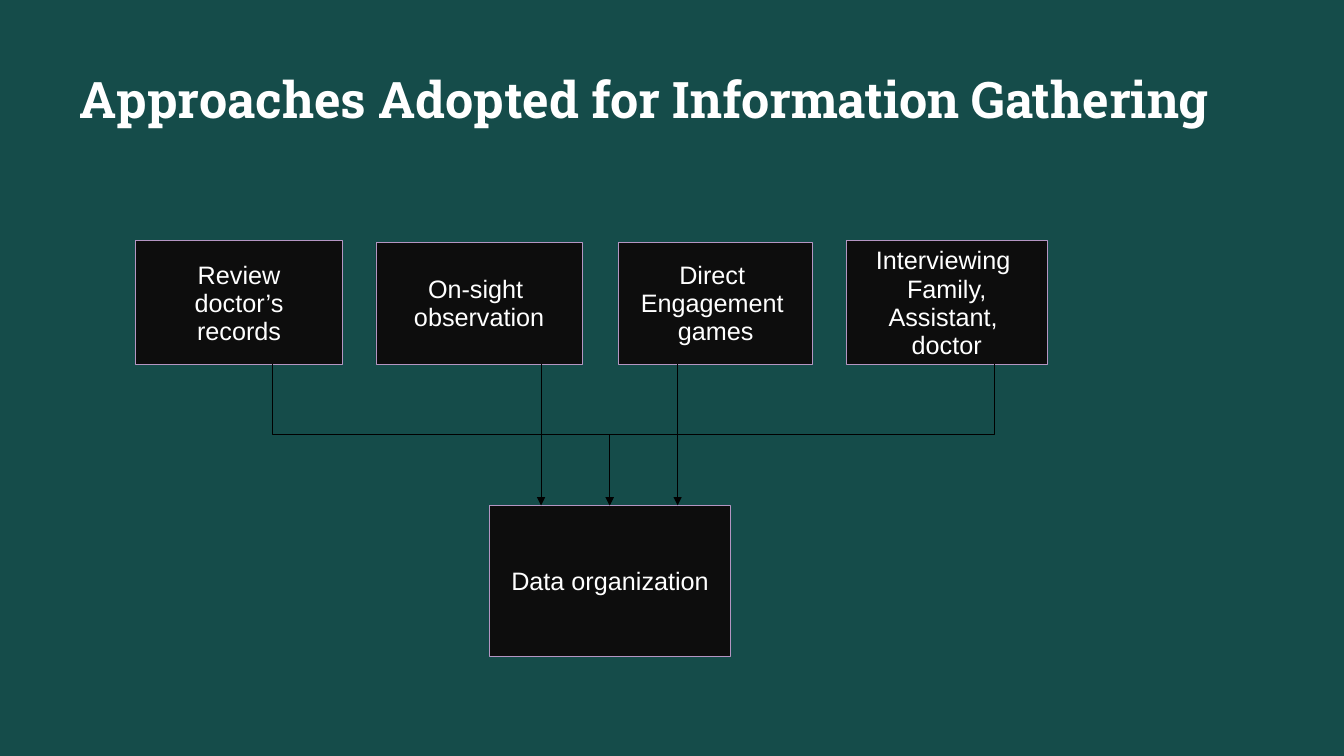
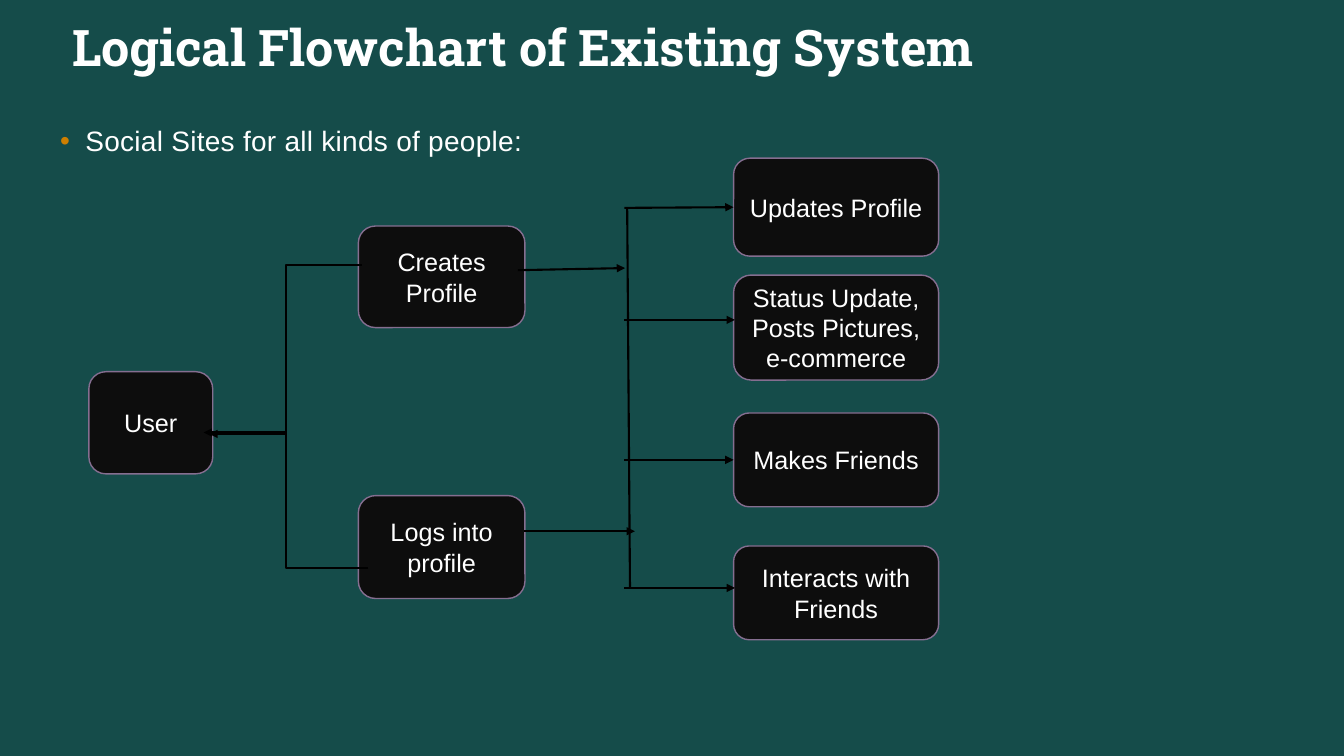
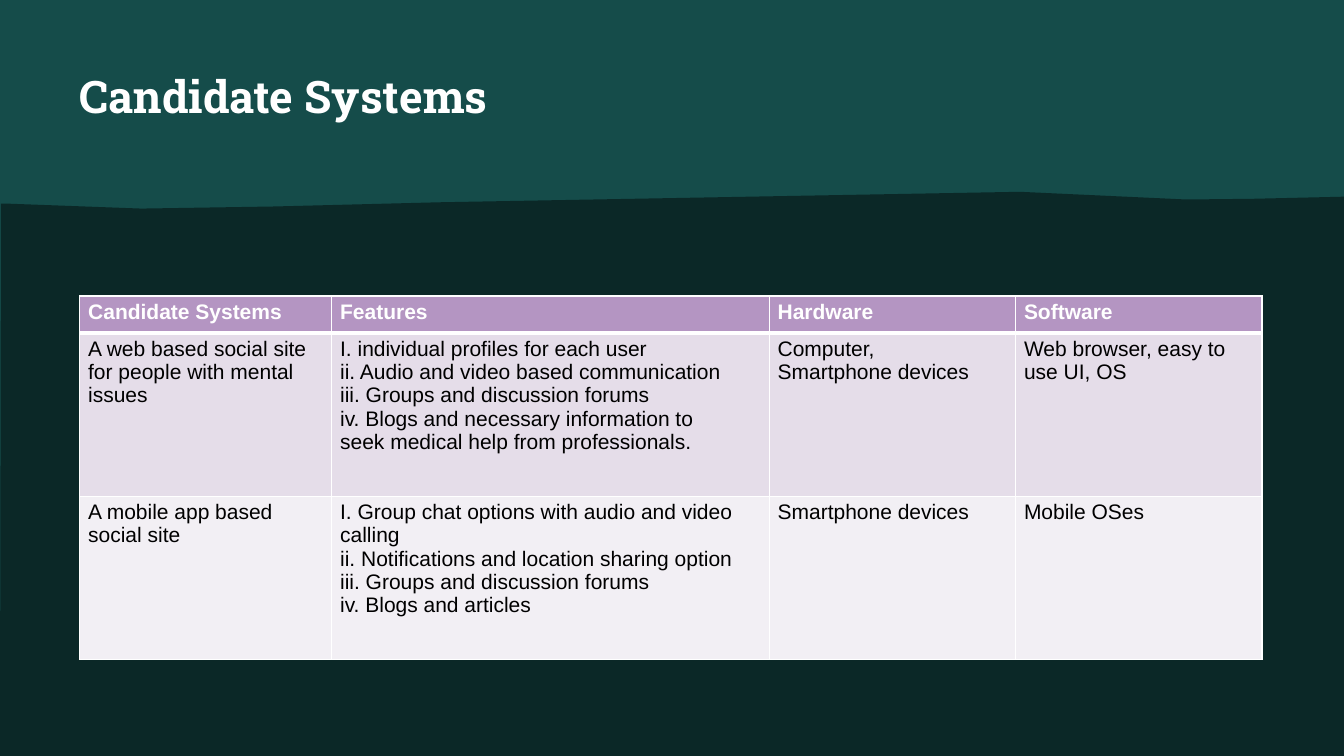
from pptx import Presentation
from pptx.dml.color import RGBColor
from pptx.enum.shapes import MSO_CONNECTOR as LINE, MSO_SHAPE as SHAPE
from pptx.enum.text import MSO_ANCHOR as ANCHOR, PP_ALIGN as ALIGN
from pptx.oxml import parse_xml
from pptx.oxml.ns import nsdecls, qn
from pptx.util import Pt

# Shared look
WIDTH, HEIGHT = 960, 540
DARK, TEAL, INK = "0B2827", "154C4A", "0D0D0D"
WHITE, BLACK, ORANGE = "FFFFFF", "000000", "CE7F01"
LILAC, MAUVE = "B495C2", "856E90"
BANDS = ["E5DDE9", "F2EFF4"]
BODY = {"name": "Arial", "size": Pt(18), "bold": False}
TITLE = {"name": "Roboto Slab", "size": Pt(36), "bold": True}
NO_MARGINS = dict.fromkeys(
    ["margin_left", "margin_top", "margin_right", "margin_bottom"], 0)
NBSP = chr(160)  # keeps two words on one line


# Formatting helpers
def assign(obj, values):
    for name, value in values.items():
        setattr(obj, name, value)


def paint(fill, color):
    fill.solid()
    fill.fore_color.rgb = RGBColor.from_string(color)


def write(tf, lines, color, font, para=None):
    """Fill a text frame, one paragraph a line."""
    for i, line in enumerate(lines):
        p = tf.paragraphs[0] if i == 0 else tf.add_paragraph()
        assign(p, para or {})
        r = p.add_run()
        r.text = line
        assign(r.font, font)
        r.font.color.rgb = RGBColor.from_string(color)


# Elements
def add_panel(s, kind, box, fill):
    sp = s.shapes.add_shape(kind, *map(Pt, box))
    sp.shadow.inherit = False
    paint(sp.fill, fill)
    sp.line.fill.background()
    return sp


def new_slide(prs):
    s = prs.slides.add_slide(prs.slide_layouts[6])
    paint(s.background.fill, DARK)
    add_panel(s, SHAPE.RECTANGLE, (0, 0, WIDTH, HEIGHT), TEAL)
    return s


def add_text(s, box, text, font, para=None, **frame):
    tf = s.shapes.add_textbox(*map(Pt, box)).text_frame
    assign(tf, {"word_wrap": True, **NO_MARGINS, **frame})
    write(tf, [text], WHITE, font, para)
    return tf.paragraphs[0]


def add_box(s, kind, box, lines, outline, weight, para=None, **frame):
    sp = add_panel(s, kind, box, INK)
    paint(sp.line.fill, outline)
    sp.line.width = Pt(weight)
    assign(sp.text_frame,
           {"word_wrap": True, "vertical_anchor": ANCHOR.MIDDLE, **frame})
    write(sp.text_frame, lines, WHITE, BODY,
          {"alignment": ALIGN.CENTER, **(para or {})})
    return sp


def add_line(s, start, end, weight, kind=LINE.STRAIGHT, arrow=True):
    c = s.shapes.add_connector(kind, *map(Pt, start + end))
    paint(c.line.fill, BLACK)
    c.line.width = Pt(weight)
    if arrow:
        c.line._get_or_add_ln().append(parse_xml(
            f'<a:tailEnd {nsdecls("a")} type="triangle"/>'))
    c._element.spPr.append(parse_xml(f'<a:effectLst {nsdecls("a")}/>'))
    return c


def add_drop_elbow(s, start, end, weight):
    """Elbow that leaves downwards: a sideways one turned by a quarter."""
    (x1, y1), (x2, y2) = start, end
    cx, cy = (x1 + x2) / 2, (y1 + y2) / 2
    side = 1 if x2 < x1 else -1
    dx, dy = side * (y2 - y1) / 2, abs(x2 - x1) / 2
    c = add_line(s, (cx - dx, cy - dy), (cx + dx, cy + dy), weight, LINE.ELBOW)
    turn = 90 if side > 0 else 270
    c._element.spPr.find(qn("a:xfrm")).set("rot", str(turn * 60000))


def add_bullet(p, indent):
    pPr = p._p.get_or_add_pPr()
    pPr.set("marL", str(Pt(indent)))
    pPr.set("indent", str(-Pt(indent)))
    for xml in (f'<a:buClr {nsdecls("a")}><a:srgbClr val="{ORANGE}"/></a:buClr>',
                f'<a:buFont {nsdecls("a")} typeface="Arial"/>',
                f'<a:buChar {nsdecls("a")} char="•"/>'):
        pPr.append(parse_xml(xml))


def add_borders(cell, row):
    thick = {0: "B", 1: "T"}.get(row)
    for i, side in enumerate("LRTB"):
        weight = Pt(3 if side == thick else 1)
        cell._tc.get_or_add_tcPr().insert(i, parse_xml(
            f'<a:ln{side} {nsdecls("a")} w="{weight}"><a:solidFill>'
            f'<a:srgbClr val="{WHITE}"/></a:solidFill></a:ln{side}>'))


def add_grid(s, left, top, widths, heights, rows):
    tbl = s.shapes.add_table(len(rows), len(widths), Pt(left), Pt(top),
                             Pt(sum(widths)), Pt(sum(heights))).table
    tbl.horz_banding = False
    for col, width in zip(tbl.columns, widths):
        col.width = Pt(width)
    for i, (row, height) in enumerate(zip(rows, heights)):
        tbl.rows[i].height = Pt(height)
        head = i == 0
        for j, text in enumerate(row):
            cell = tbl.cell(i, j)
            assign(cell, {"margin_left": Pt(6), "margin_right": Pt(6),
                          "margin_top": Pt(3), "margin_bottom": Pt(3)})
            paint(cell.fill, LILAC if head else BANDS[(i - 1) % 2])
            add_borders(cell, i)
            write(cell.text_frame, text.split("\n"), WHITE if head else BLACK,
                  {**BODY, "size": Pt(15), "bold": head})


# Slides
def gathering_slide(prs):
    s = new_slide(prs)
    add_text(s, (57, 49, 844.5, 55.5),
             "Approaches Adopted for Information Gathering", TITLE)
    boxes = [
        ((97, 172, 147.5, 88.5), ["Review", "doctor’s", "records"]),
        ((268.5, 173, 147.5, 87), ["On-sight ", "observation"]),
        ((442, 173, 138.5, 87), ["Direct ", "Engagement ", "games"]),
        ((604.5, 172, 143.5, 88.5),
         ["Interviewing ", "Family,", "Assistant, ", "doctor"]),
        ((349.5, 361, 172.5, 108), ["Data organization"]),
    ]
    for box, lines in boxes:
        add_box(s, SHAPE.RECTANGLE, box, lines, LILAC, 0.5,
                {"line_spacing": 0.93}, word_wrap=False, margin_top=Pt(5))

    # Arrows down to the data box
    top, bottom = 260, 361
    for x in (710.5, 194.5):
        add_drop_elbow(s, (x, top), (435.5, bottom), 0.75)
    for x in (386.5, 484):
        add_line(s, (x, top), (x, bottom), 0.75)


def flowchart_slide(prs):
    s = new_slide(prs)
    add_text(s, (43, 11.5, 844.5, 63.5), "Logical Flowchart of Existing System",
             TITLE, margin_left=Pt(8.5))
    p = add_text(s, (43, 83.5, 858.5, 432.5),
                 "Social Sites for all kinds of people:",
                 {**BODY, "size": Pt(20)},
                 {"line_spacing": 1.2, "space_before": Pt(10)})
    add_bullet(p, 18)
    p.runs[0].font._element.set("spc", "20")

    def step(box, text):
        return add_box(s, SHAPE.ROUNDED_RECTANGLE, box, [text], MAUVE, 1)

    # User and profile steps
    step((63.5, 265.5, 88.5, 73), "User")
    step((256, 161.5, 119, 72.5), "Creates Profile")
    step((256, 354, 119, 73.5), "Logs into profile")
    add_line(s, (258.5, 189.5), (149.5, 310), 1.5, LINE.ELBOW)
    add_line(s, (263, 406), (145.5, 309), 1.5, LINE.ELBOW)

    # Activities, each with an arrow from the trunk
    add_line(s, (448, 148.5), (450, 420), 1.5, arrow=False)
    activities = [
        (113, 70, 148.5, "Updates Profile"),
        (196.5, 75, 228.5, "Status Update, Posts Pictures, e-commerce"),
        (295, 67, 328.5, "Makes Friends"),
        (390, 67, 420, "Interacts with Friends"),
    ]
    for top, height, y, text in activities:
        sp = step((524, top, 146.5, height), text)
        c = add_line(s, (446, y), (525, y), 1.5)
        if abs(top + height / 2 - y) < 1:
            c.end_connect(sp, 1)

    # Profile steps to the trunk
    add_line(s, (374.5, 379.5), (453.5, 379.5), 1.5)
    add_line(s, (370, 193), (446.5, 191.5), 1.5)


def candidates_slide(prs):
    s = new_slide(prs)

    # Dark lower area with an uneven top edge
    edge = [(728.5, 137), (847.5, 142.5), (895, 142), (WIDTH, 140.5),
            (WIDTH, HEIGHT), (0, HEIGHT), (0.7, 145.5), (6, 145.5),
            (101, 149), (196, 147.5), (314, 144.5)]
    points = [(Pt(x), Pt(y)) for x, y in edge]
    fb = s.shapes.build_freeform(*points[0])
    fb.add_line_segments(points[1:], close=True)
    sp = fb.convert_to_shape()
    sp.shadow.inherit = False
    paint(sp.fill, DARK)
    sp.line.fill.background()

    add_text(s, (57, 49, 844.5, 54), "Candidate Systems",
             {**TITLE, "size": Pt(32)})
    add_grid(s, 57, 211.5, [180, 312.5, 176, 176], [26.5, 116.5, 116.5], [
        ["Candidate Systems", "Features", "Hardware", "Software"],
        ["A web based social site for people with mental issues",
         "I. individual profiles for each user\n"
         "ii. Audio and video based communication\n"
         "iii. Groups and discussion forums\n"
         f"iv. Blogs and necessary information to seek{NBSP}medical help from "
         "professionals.",
         f"Computer, Smartphone{NBSP}devices",
         "Web browser, easy to use UI, OS"],
        ["A mobile app based social site",
         "I. Group chat options with audio and video calling\n"
         "ii. Notifications and location sharing option\n"
         "iii. Groups and discussion forums\n"
         "iv. Blogs and articles",
         "Smartphone devices",
         "Mobile OSes"],
    ])


def main():
    prs = Presentation()
    assign(prs, {"slide_width": Pt(WIDTH), "slide_height": Pt(HEIGHT)})
    gathering_slide(prs)
    flowchart_slide(prs)
    candidates_slide(prs)
    prs.save("out.pptx")


if __name__ == "__main__":
    main()
